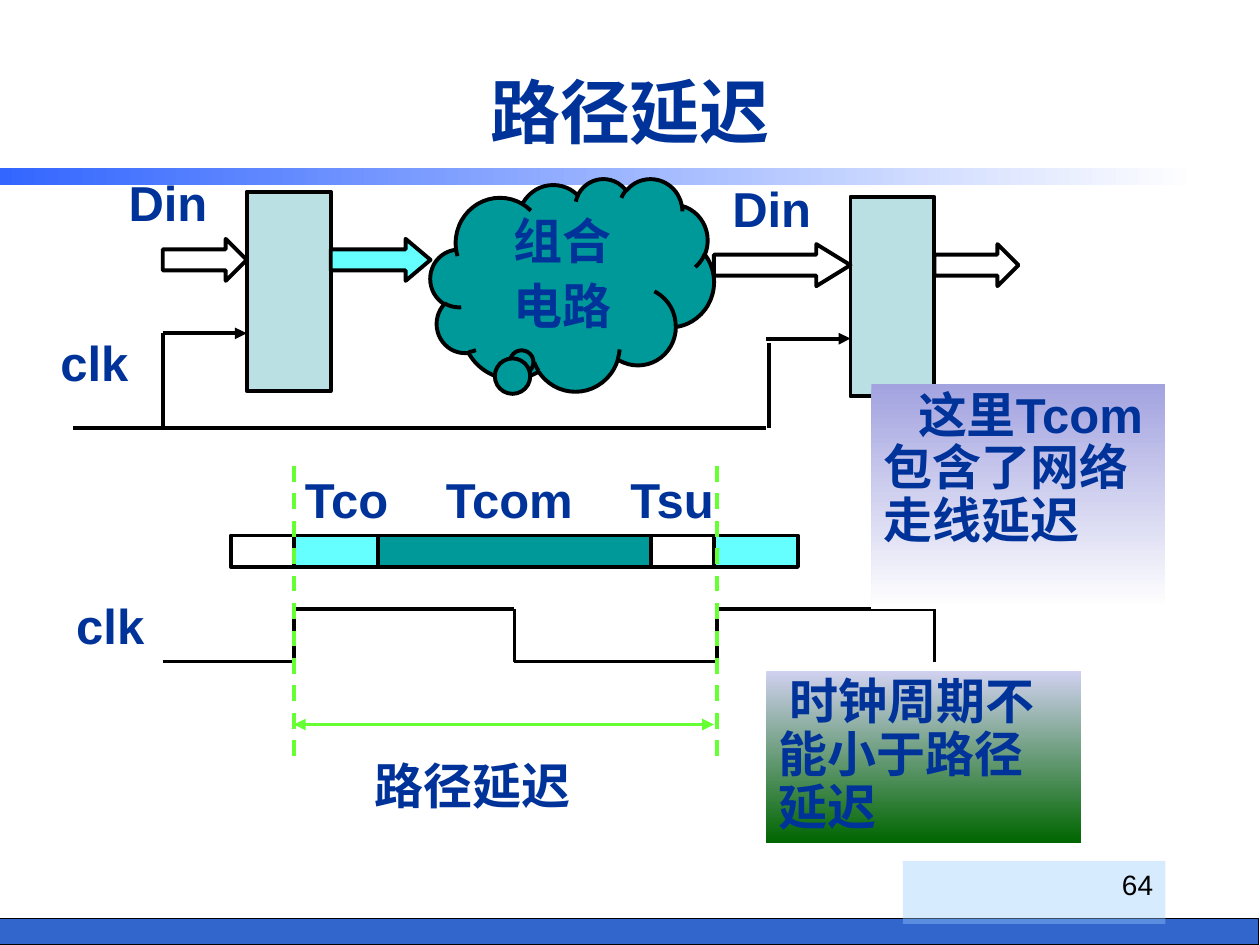
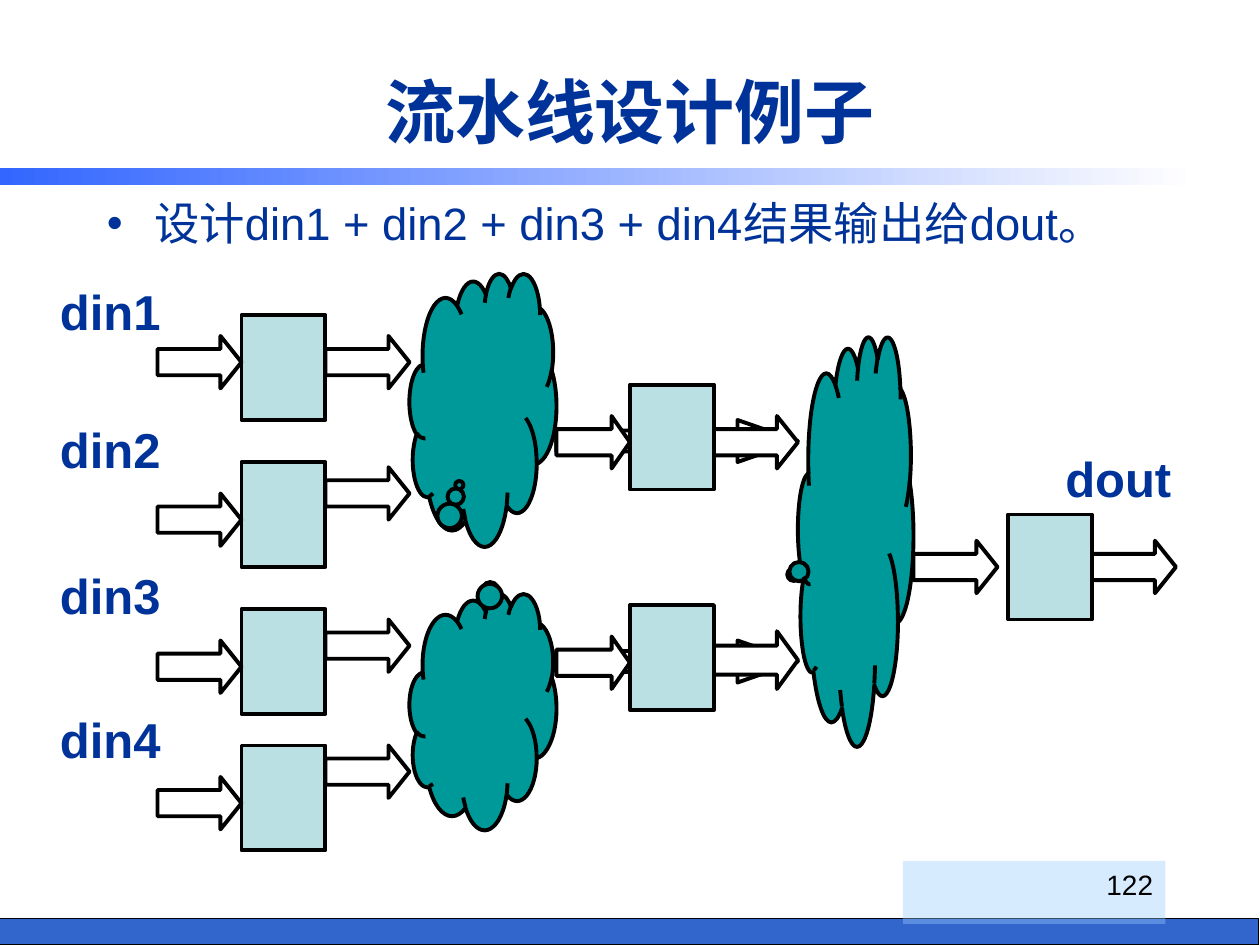
from dataclasses import dataclass
from itertools import pairwise
from typing import NamedTuple

import lxml.etree
import pptx
import pptx.dml.color
import pptx.enum.dml
import pptx.enum.shapes
import pptx.enum.text
import pptx.oxml.ns
import pptx.util

SCALE = 914400 // 96
KIND = pptx.enum.shapes.MSO_SHAPE
ALIGN = pptx.enum.text.PP_ALIGN
ANCHOR = pptx.enum.text.MSO_ANCHOR


@dataclass(frozen=True)
class Theme:
    ink: str = "003399"
    black: str = "000000"
    white: str = "FFFFFF"
    reg: str = "BBE0E3"
    logic: str = "009999"
    cyan: str = "66FFFF"
    green: str = "66FF33"
    foot: str = "3366CC"
    band: str = "3366FF"
    pale: str = "99CCFF"
    lilac: str = "A3A3E0"
    mist: str = "D1D1F0"
    forest: str = "006600"
    font: str = "Arial"
    head: float = 40
    label: float = 28
    body: float = 25.9
    page: float = 16
    stroke: float = 2.25


THEME = Theme()


class Box(NamedTuple):
    left: int
    top: int
    width: int
    height: int


class Style(NamedTuple):
    size: float = THEME.label
    color: str = THEME.ink
    bold: bool = True
    align: ALIGN = ALIGN.CENTER
    anchor: ANCHOR = ANCHOR.TOP
    space: float = 0.9


class Label(NamedTuple):
    text: str
    left: int
    top: int
    width: int


class Cloud(NamedTuple):
    box: Box
    tail: tuple[float, float]


class Arrow(NamedTuple):
    box: Box
    fill: str = THEME.white


class Wire(NamedTuple):
    points: list[tuple[int, int]]
    color: str = THEME.black
    dash: bool = False
    head: bool = False
    tail: bool = False


class Note(NamedTuple):
    text: str
    box: Box
    start: str
    end: str
    indent: int


def px(value: int) -> pptx.util.Emu:
    return pptx.util.Emu(value * SCALE)


def rgb(color: str) -> pptx.dml.color.RGBColor:
    return pptx.dml.color.RGBColor.from_string(color)


def sub(parent, tag: str, **attrs: str):
    """Append a DrawingML child element."""
    return lxml.etree.SubElement(parent, pptx.oxml.ns.qn(f"a:{tag}"), **attrs)


def write(shape, lines: list[str], style: Style, gap: float = 0) -> None:
    """Fill a shape with one paragraph per line, gap points apart."""
    frame = shape.text_frame
    frame.word_wrap = True
    frame.vertical_anchor = style.anchor
    for i, line in enumerate(lines):
        para = frame.add_paragraph() if i else frame.paragraphs[0]
        para.alignment = style.align
        para.line_spacing = style.space
        if i:
            para.space_before = pptx.util.Pt(gap)
        run = para.add_run()
        run.text = line
        font = run.font
        font.size = pptx.util.Pt(style.size)
        font.bold = style.bold
        font.color.rgb = rgb(style.color)
        font.name = THEME.font
        sub(run._r.get_or_add_rPr(), "ea", typeface=THEME.font)


def inset(shape, first: int, left: int = 0) -> None:
    """Set the first-line indent and left margin of the first paragraph."""
    props = shape.text_frame.paragraphs[0]._p.get_or_add_pPr()
    props.set("marL", str(px(left)))
    props.set("indent", str(px(first)))


def text(slide, box: Box, line: str, style: Style):
    shape = slide.shapes.add_textbox(*map(px, box))
    write(shape, [line], style)
    return shape


def label(slide, item: Label, align: ALIGN = ALIGN.CENTER) -> None:
    text(slide, Box(item.left, item.top, item.width, 50), item.text, Style(align=align))


def block(slide, box: Box, fill: str, kind: KIND = KIND.RECTANGLE, stroke: float = THEME.stroke):
    shape = slide.shapes.add_shape(kind, *map(px, box))
    shape.shadow.inherit = False
    shape.fill.solid()
    shape.fill.fore_color.rgb = rgb(fill)
    if stroke:
        shape.line.color.rgb = rgb(THEME.black)
        shape.line.width = pptx.util.Pt(stroke)
    else:
        shape.line.fill.background()
    return shape


def fade(slide, box: Box, start: str, end: str, angle: int):
    """Draw a borderless rectangle with a two-colour gradient."""
    shape = block(slide, box, start, stroke=0)
    shape.fill.gradient()
    shape.fill.gradient_angle = angle
    for stop, color, place in zip(shape.fill.gradient_stops, (start, end), (0, 1)):
        stop.color.rgb = rgb(color)
        stop.position = place
    return shape


def arrow(slide, item: Arrow) -> None:
    """Draw a right arrow whose head takes a quarter of its length."""
    shape = block(slide, item.box, item.fill, KIND.RIGHT_ARROW)
    shape.adjustments[0] = 0.5
    shape.adjustments[1] = item.box.width / 4 / item.box.height


def cloud(slide, item: Cloud):
    shape = block(slide, item.box, THEME.logic, KIND.CLOUD_CALLOUT)
    for i, value in enumerate(item.tail):
        shape.adjustments[i] = value
    return shape


def wire(slide, item: Wire) -> None:
    for start, end in pairwise(item.points):
        line = slide.shapes.add_connector(
            pptx.enum.shapes.MSO_CONNECTOR.STRAIGHT, *map(px, start + end))
        line.line.color.rgb = rgb(item.color)
        line.line.width = pptx.util.Pt(THEME.stroke)
        if item.dash:
            line.line.dash_style = pptx.enum.dml.MSO_LINE.DASH
        for tag, used in (("headEnd", item.head), ("tailEnd", item.tail)):
            if used:
                sub(line.line._get_or_add_ln(), tag, type="triangle")
        sub(line._element.spPr, "effectLst")


def note(slide, item: Note) -> None:
    shape = fade(slide, item.box, item.start, item.end, 270)
    write(shape, [item.text], Style(align=ALIGN.LEFT))
    inset(shape, item.indent)


def base(deck, title: str, page: str):
    """Add a slide with the shared bands, page number and title."""
    slide = deck.slides.add_slide(deck.slide_layouts[6])
    block(slide, Box(-1, 700, 960, 20), THEME.foot, stroke=0.75)
    fade(slide, Box(0, 128, 913, 13), THEME.band, THEME.white, 0)
    plate = block(slide, Box(688, 656, 200, 48), THEME.pale, stroke=0)
    color = plate._element.spPr.find(".//" + pptx.oxml.ns.qn("a:srgbClr"))
    sub(color, "alpha", val="39000")
    write(plate, [page], Style(THEME.page, THEME.black, False, align=ALIGN.RIGHT, space=1))
    text(slide, Box(72, 44, 816, 80), title,
         Style(THEME.head, anchor=ANCHOR.MIDDLE, space=1))
    return slide


def delay(deck) -> None:
    slide = base(deck, "路径延迟", "64")
    for left, top in ((648, 150), (188, 146)):
        block(slide, Box(left, top, 64, 152), THEME.reg)
        wire(slide, Wire([(left - 64, top + 108), (left, top + 108)], tail=True))
    for item in (Arrow(Box(544, 186, 104, 32)), Arrow(Box(712, 186, 64, 32)),
                 Arrow(Box(124, 182, 64, 32)), Arrow(Box(252, 182, 76, 32), THEME.cyan)):
        arrow(slide, item)
    shape = cloud(slide, Cloud(Box(328, 136, 216, 162), (-0.169, 0.345)))
    write(shape, ["组合", "电路"], Style(), gap=7)

    for points in ([(124, 254), (124, 326)], [(586, 261), (586, 326)],
                   [(584, 326), (56, 326)]):
        wire(slide, Wire(points))
    left = 176
    for width, fill in ((48, THEME.white), (64, THEME.cyan), (208, THEME.logic),
                        (48, THEME.white), (64, THEME.cyan)):
        block(slide, Box(left, 408, width, 24), fill)
        left += width
    low, high = 504, 464
    wire(slide, Wire([(124, low), (224, low), (224, high), (392, high), (392, low),
                      (546, low), (546, high), (712, high), (712, low)]))
    for item in (Label("Din", 544, 136, 88), Label("Din", 84, 132, 88),
                 Label("clk", 20, 254, 104), Label("clk", 32, 454, 104),
                 Label("Tco", 216, 358, 96), Label("Tcom", 328, 358, 120),
                 Label("Tsu", 464, 358, 96)):
        label(slide, item)
    for x in (224, 546):
        wire(slide, Wire([(x, 576), (x, 352)], THEME.green, dash=True))
    wire(slide, Wire([(224, 552), (544, 552)], THEME.green, head=True, tail=True))
    label(slide, Label("路径延迟", 276, 576, 196), ALIGN.LEFT)
    note(slide, Note("时钟周期不能小于路径延迟", Box(584, 511, 240, 131),
                     THEME.mist, THEME.forest, 8))
    note(slide, Note("这里Tcom包含了网络走线延迟", Box(664, 293, 224, 171),
                     THEME.lilac, THEME.white, 26))


def chain(deck) -> None:
    slide = base(deck, "流水线设计例子", "122")
    body = text(slide, Box(72, 144, 840, 64), "设计din1 + din2 + din3 + din4结果输出给dout。",
                Style(THEME.body, bold=False, align=ALIGN.LEFT, space=1))
    inset(body, -36, 36)
    props = body.text_frame.paragraphs[0]._p.get_or_add_pPr()
    sub(sub(props, "buClr"), "srgbClr", val=THEME.ink)
    sub(props, "buFont", typeface=THEME.font)
    sub(props, "buChar", char="•")

    for top in (240, 352, 464, 568):
        block(slide, Box(184, top, 64, 80), THEME.reg)
    for top in (256, 376, 488, 592):
        arrow(slide, Arrow(Box(120, top, 64, 40)))
    for item in (Cloud(Box(312, 208, 112, 208), (-0.161, 0.277)),
                 Cloud(Box(312, 452, 112, 180), (0.048, -0.503)),
                 Cloud(Box(608, 256, 88, 312), (-0.534, 0.082))):
        cloud(slide, item)
    for top in (256, 356, 472, 568):
        arrow(slide, Arrow(Box(248, top, 64, 40)))
    block(slide, Box(768, 392, 64, 80), THEME.reg)
    for left in (696, 832):
        arrow(slide, Arrow(Box(left, 412, 64, 40)))
    for top, long, last in ((293, 320, Box(544, 317, 64, 40)),
                            (461, 488, Box(544, 481, 64, 44))):
        arrow(slide, Arrow(Box(424, long, 184, 32)))
        block(slide, Box(480, top, 64, 80), THEME.reg)
        arrow(slide, Arrow(Box(424, top + 24, 56, 40)))
        arrow(slide, Arrow(last))
    for i, top in enumerate((215, 320, 431, 541), 1):
        label(slide, Label(f"din{i}", 24, top, 120))
    label(slide, Label("dout", 792, 342, 120))


def main() -> None:
    deck = pptx.Presentation()
    deck.slide_width, deck.slide_height = px(960), px(720)
    delay(deck)
    chain(deck)
    deck.save("out.pptx")


if __name__ == "__main__":
    main()
